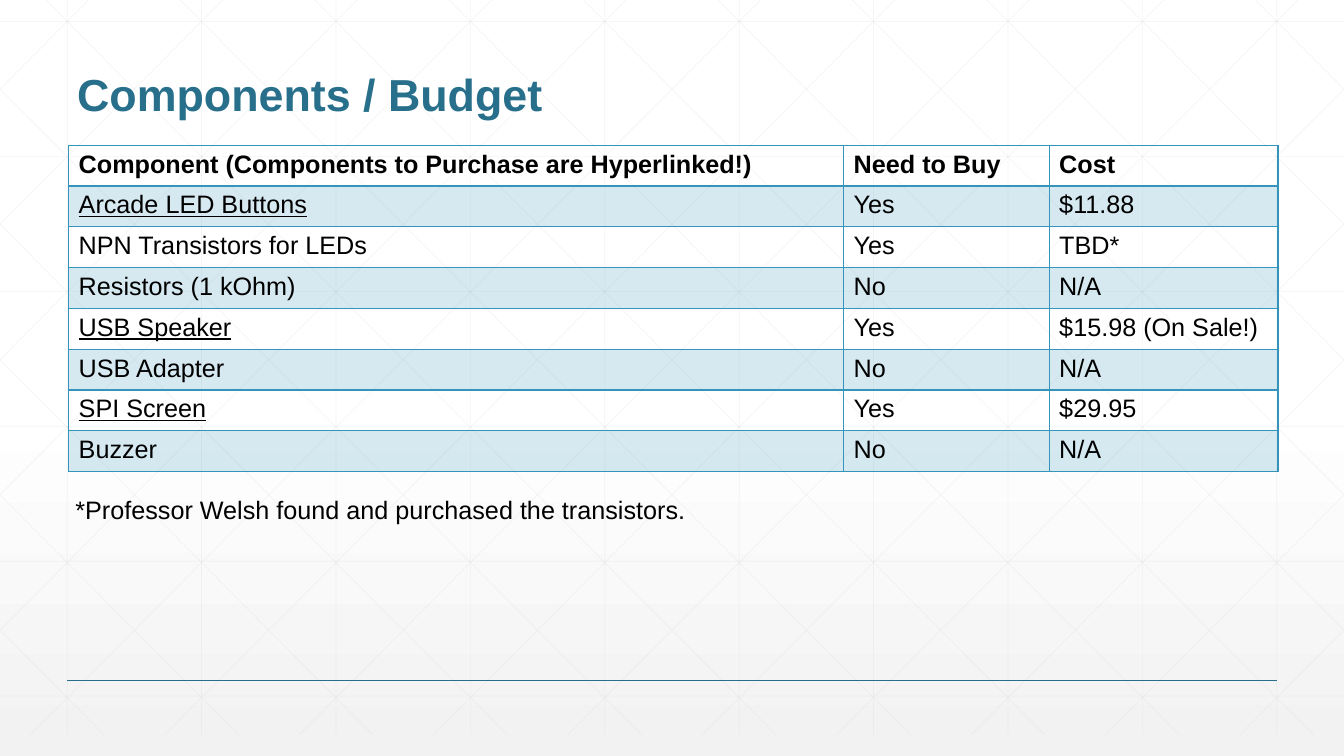
from copy import deepcopy
from dataclasses import dataclass

from lxml import etree
from pptx import Presentation
from pptx import util as u
from pptx.dml.color import RGBColor
from pptx.enum import shapes, text
from pptx.oxml.ns import qn


@dataclass(frozen=True)
class Theme:
    font: str = "Arial"
    title_size: int = 32
    body_size: int = 18
    ink: str = "000000"
    title: str = "276F8B"
    accent: str = "3494BA"
    grid: str = "D9D9D9"
    paper: str = "FFFFFF"
    paper_end: str = "F2F2F2"
    band_alpha: int = 20
    grid_alpha: int = 25


T = Theme()
W, H = 33.87, 19.05

ROWS = [
    ("Component (Components to Purchase are Hyperlinked!)", "Need to Buy", "Cost"),
    ("Arcade LED Buttons", "Yes", "$11.88"),
    ("NPN Transistors for LEDs", "Yes", "TBD*"),
    ("Resistors (1 kOhm)", "No", "N/A"),
    ("USB Speaker", "Yes", "$15.98 (On Sale!)"),
    ("USB Adapter", "No", "N/A"),
    ("SPI Screen", "Yes", "$29.95"),
    ("Buzzer", "No", "N/A"),
]
TO_PURCHASE = {"Arcade LED Buttons", "USB Speaker", "SPI Screen"}
COLUMN_WIDTHS = (19.53, 5.18, 5.77)


def write(tf, content, size=T.body_size, color=T.ink, bold=False,
          underline=False, spacing=None):
    p = tf.paragraphs[0]
    p.line_spacing = spacing
    r = p.add_run()
    r.text = content
    f = r.font
    f.name, f.size, f.bold, f.underline = T.font, u.Pt(size), bold, underline
    f.color.rgb = RGBColor.from_string(color)


def set_alpha(element, percent):
    for clr in element.iter(qn("a:srgbClr")):
        etree.SubElement(clr, qn("a:alpha"), val=str(percent * 1000))


def add_line(parent, x1, y1, x2, y2, color, width, alpha=None):
    cn = parent.add_connector(shapes.MSO_CONNECTOR.STRAIGHT,
                              *(u.Cm(v) for v in (x1, y1, x2, y2)))
    cn.line.color.rgb = RGBColor.from_string(color)
    cn.line.width = u.Pt(width)
    sp_pr = cn.element.spPr
    etree.SubElement(sp_pr, qn("a:effectLst"))
    if alpha:
        set_alpha(sp_pr, alpha)


def add_text(s, box, content, anchor=text.MSO_ANCHOR.TOP, wrap=True, **fmt):
    tf = s.shapes.add_textbox(*(u.Cm(v) for v in box)).text_frame
    tf.word_wrap = wrap
    tf.vertical_anchor = anchor
    write(tf, content, **fmt)


def paint_background(s):
    fill = s.background.fill
    fill.gradient()
    fill.gradient_angle = 270
    stops = s.element.find(".//" + qn("a:gsLst"))
    stops.insert(1, deepcopy(stops[0]))
    for stop, color, position in zip(fill.gradient_stops,
                                     (T.paper, T.paper, T.paper_end),
                                     (0, 0.53, 1)):
        stop.color.rgb = RGBColor.from_string(color)
        stop.position = position


def draw_grid(s, box):
    left, top, width, height = box
    right, bottom = left + width, top + height
    group = s.shapes.add_group_shape().shapes
    pitch = width / 10

    def grid_line(*ends):
        add_line(group, *ends, T.grid, 0.5, T.grid_alpha)

    # Verticals and horizontals
    for i in range(10):
        x = left + pitch * (i + 0.5)
        grid_line(x, top, x, bottom)
    for i in range(6):
        y = top + 1.07 + 3.4 * i
        grid_line(left, y, right, y)

    # Diagonals, cut at the sides and mirrored
    run = 18.93
    slope = height / run
    for i in range(-5, 10):
        start = 0.63 + pitch * i
        x1, x2 = max(start, 0), min(start + run, width)
        y1, y2 = (top + (x - start) * slope for x in (x1, x2))
        grid_line(left + x1, y1, left + x2, y2)
        grid_line(right - x1, y1, right - x2, y2)


def set_borders(cell, **widths):
    tc_pr = cell._tc.get_or_add_tcPr()
    for i, side in enumerate("LRTB"):
        ln = etree.Element(qn("a:ln" + side), w=str(u.Pt(widths.get(side, 1))))
        solid = etree.SubElement(ln, qn("a:solidFill"))
        etree.SubElement(solid, qn("a:srgbClr"), val=T.accent)
        tc_pr.insert(i, ln)


def add_budget_table(s, box):
    table = s.shapes.add_table(len(ROWS), len(COLUMN_WIDTHS),
                               *(u.Cm(v) for v in box)).table
    for column, width in zip(table.columns, COLUMN_WIDTHS):
        column.width = u.Cm(width)
    for i, row in enumerate(ROWS):
        table.rows[i].height = u.Cm(box[3] / len(ROWS))
        for j, content in enumerate(row):
            cell = table.cell(i, j)
            write(cell.text_frame, content, bold=i == 0,
                  underline=content in TO_PURCHASE)
            if i % 2:
                cell.fill.solid()
                cell.fill.fore_color.rgb = RGBColor.from_string(T.accent)
                set_alpha(cell._tc.tcPr, T.band_alpha)
            else:
                cell.fill.background()
            set_borders(cell, B=2 if i == 0 else 1, T=2 if i == 1 else 1)


def build_budget_slide(prs, box):
    left, top, width, height = box
    s = prs.slides.add_slide(prs.slide_layouts[6])

    # Backdrop
    paint_background(s)
    draw_grid(s, (left, top - 0.53, width, height))

    # Footer rule
    margin = width / 20
    add_line(s.shapes, left + margin, top + 17.15,
             left + width - margin, top + 17.15, T.title, 1)

    # Title, table and footnote
    add_text(s, (left + margin, top + 0.64, width - 2 * margin, 2.54),
             "Components / Budget", anchor=text.MSO_ANCHOR.BOTTOM,
             size=T.title_size, color=T.title, bold=True, spacing=0.9)
    add_budget_table(s, (left + 1.73, top + 3.66, sum(COLUMN_WIDTHS), 8.23))
    add_text(s, (left + 1.65, top + 12.32, 16.03, 1.02),
             "*Professor Welsh found and purchased the transistors.", wrap=False)


prs = Presentation()
prs.slide_width, prs.slide_height = u.Cm(W), u.Cm(H)
build_budget_slide(prs, (0, 0, W, H))
prs.save("out.pptx")
